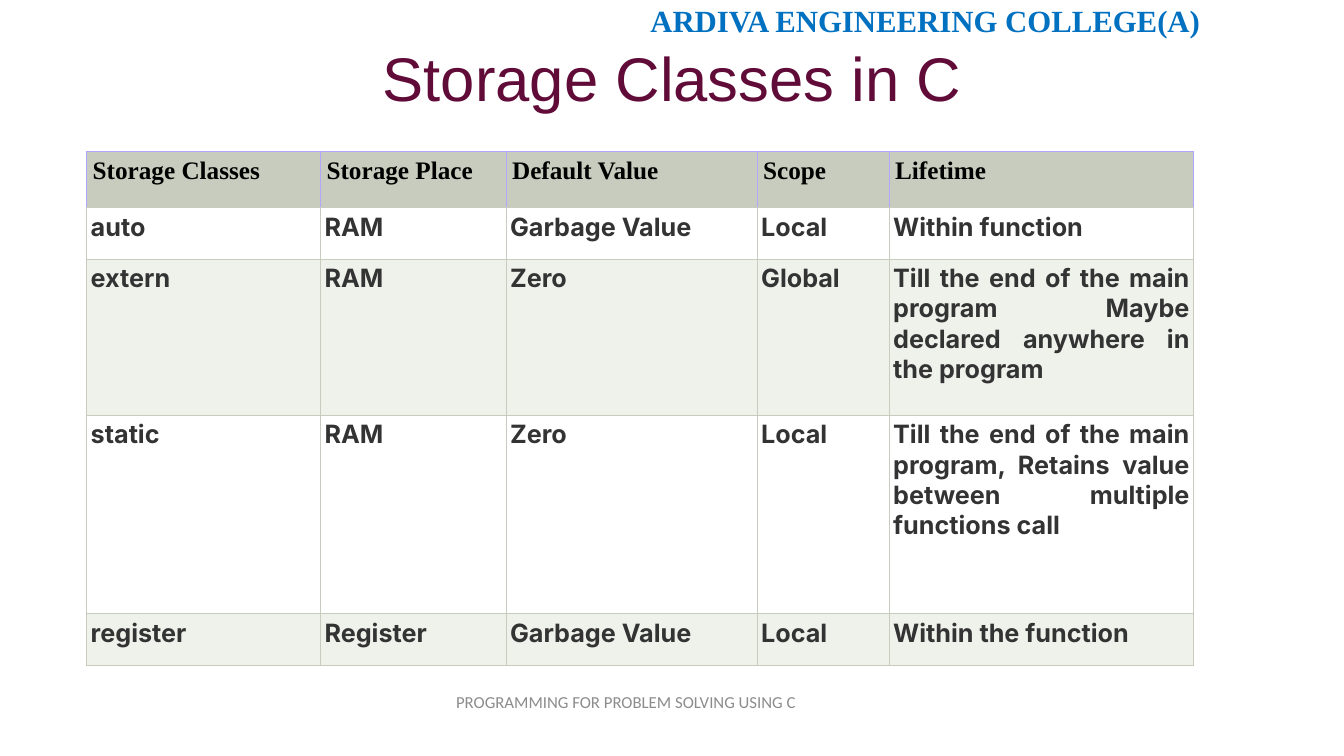
from dataclasses import dataclass
from typing import Any

from lxml import etree
from pptx import Presentation
from pptx import util as u
from pptx.dml import color
from pptx.enum import text
from pptx.oxml import ns


@dataclass(frozen=True)
class Font:
    face: str
    size: int
    tint: str
    bold: bool = False


@dataclass(frozen=True)
class Theme:
    college: Font = Font("Times New Roman", 22, "0070C0", True)
    title: Font = Font("Arial", 44, "610B38")
    head: Font = Font("Times New Roman", 18, "000000", True)
    body: Font = Font("Inter", 18, "333333", True)
    foot: Font = Font("Calibri", 12, "8C8C8C")
    rule: str = "C7CCBE"
    edge: str = "B0A6FE"
    fill: str = "C7CCBE"
    bands: tuple[str, str] = ("FFFFFF", "EFF1EB")
    line: float = 0.6


@dataclass(frozen=True)
class Label:
    words: str
    left: float
    top: float
    width: float
    height: float
    font: Font
    align: Any
    anchor: Any = text.MSO_ANCHOR.TOP
    inset: float = 0.05
    space: float = 1.0


@dataclass(frozen=True)
class Style:
    font: Font
    fill: str
    inset: float
    edges: dict[str, str]


THEME = Theme()
ALIGN = text.PP_ALIGN

LABELS = (
    Label("ARDIVA ENGINEERING COLLEGE(A)", 4.83, -0.03, 7.17, 0.47,
          THEME.college, ALIGN.RIGHT),
    Label("Storage Classes in C", 0.92, 0.4, 11.5, 1.45,
          THEME.title, ALIGN.CENTER, inset=0.08, space=0.9),
    Label("PROGRAMMING FOR PROBLEM SOLVING USING C", 4.42, 6.76, 3.58, 0.4,
          THEME.foot, ALIGN.CENTER, text.MSO_ANCHOR.MIDDLE),
)

WIDTHS = (2.32, 1.84, 2.49, 1.31, 3.02)
HEIGHTS = (0.56, 0.51, 1.55, 1.97, 0.51)
ROWS = (
    ("Storage Classes", "Storage Place", "Default Value", "Scope", "Lifetime"),
    ("auto", "RAM", "Garbage Value", "Local", "Within function"),
    ("extern", "RAM", "Zero", "Global",
     "Till the end of the main program Maybe declared anywhere in the program"),
    ("static", "RAM", "Zero", "Local",
     "Till the end of the main program, Retains value between multiple functions call"),
    ("register", "Register", "Garbage Value", "Local", "Within the function"),
)


def write(para: Any, words: str, font: Font, align: Any) -> None:
    para.alignment = align
    run = para.add_run()
    run.text = words
    run.font.name = font.face
    run.font.size = u.Pt(font.size)
    run.font.bold = font.bold
    run.font.color.rgb = color.RGBColor.from_string(font.tint)


def draw_label(slide: Any, label: Label) -> None:
    box = slide.shapes.add_textbox(u.Inches(label.left), u.Inches(label.top),
                                   u.Inches(label.width), u.Inches(label.height))
    frame = box.text_frame
    frame.word_wrap = True
    frame.vertical_anchor = label.anchor
    frame.margin_top = u.Inches(label.inset)
    para = frame.paragraphs[0]
    para.line_spacing = label.space
    write(para, label.words, label.font, label.align)


def draw_edges(cell: Any, edges: dict[str, str]) -> None:
    props = cell._tc.get_or_add_tcPr()
    for side, tint in edges.items():
        line = etree.SubElement(props, ns.qn(f"a:ln{side}"), w=str(u.Pt(THEME.line)))
        fill = etree.SubElement(line, ns.qn("a:solidFill"))
        etree.SubElement(fill, ns.qn("a:srgbClr"), val=tint)


def draw_cell(cell: Any, words: str, style: Style) -> None:
    inset = u.Inches(style.inset)
    cell.margin_left = cell.margin_right = inset
    cell.margin_top = cell.margin_bottom = inset
    draw_edges(cell, style.edges)
    cell.fill.solid()
    cell.fill.fore_color.rgb = color.RGBColor.from_string(style.fill)
    write(cell.text_frame.paragraphs[0], words, style.font, ALIGN.JUSTIFY)


def pick_style(row: int) -> Style:
    edges = dict.fromkeys("LRTB", THEME.rule)
    if row == 0:
        return Style(THEME.head, THEME.fill, 0.06,
                     edges | dict.fromkeys("LRT", THEME.edge))
    return Style(THEME.body, THEME.bands[(row - 1) % 2], 0.04, edges)


def draw_table(slide: Any) -> None:
    frame = slide.shapes.add_table(len(ROWS), len(WIDTHS), u.Inches(0.86), u.Inches(1.5),
                                   u.Inches(sum(WIDTHS)), u.Inches(sum(HEIGHTS)))
    table = frame.table
    for column, width in zip(table.columns, WIDTHS):
        column.width = u.Inches(width)
    for index, (row, height, items) in enumerate(zip(table.rows, HEIGHTS, ROWS)):
        row.height = u.Inches(height)
        style = pick_style(index)
        for cell, words in zip(row.cells, items):
            draw_cell(cell, words, style)


def main() -> None:
    deck = Presentation()
    deck.slide_width = u.Inches(13.33)
    deck.slide_height = u.Inches(7.5)
    slide = deck.slides.add_slide(deck.slide_layouts[6])
    college, title, foot = LABELS
    draw_label(slide, college)
    draw_label(slide, title)
    draw_table(slide)
    draw_label(slide, foot)
    deck.save("out.pptx")


if __name__ == "__main__":
    main()
